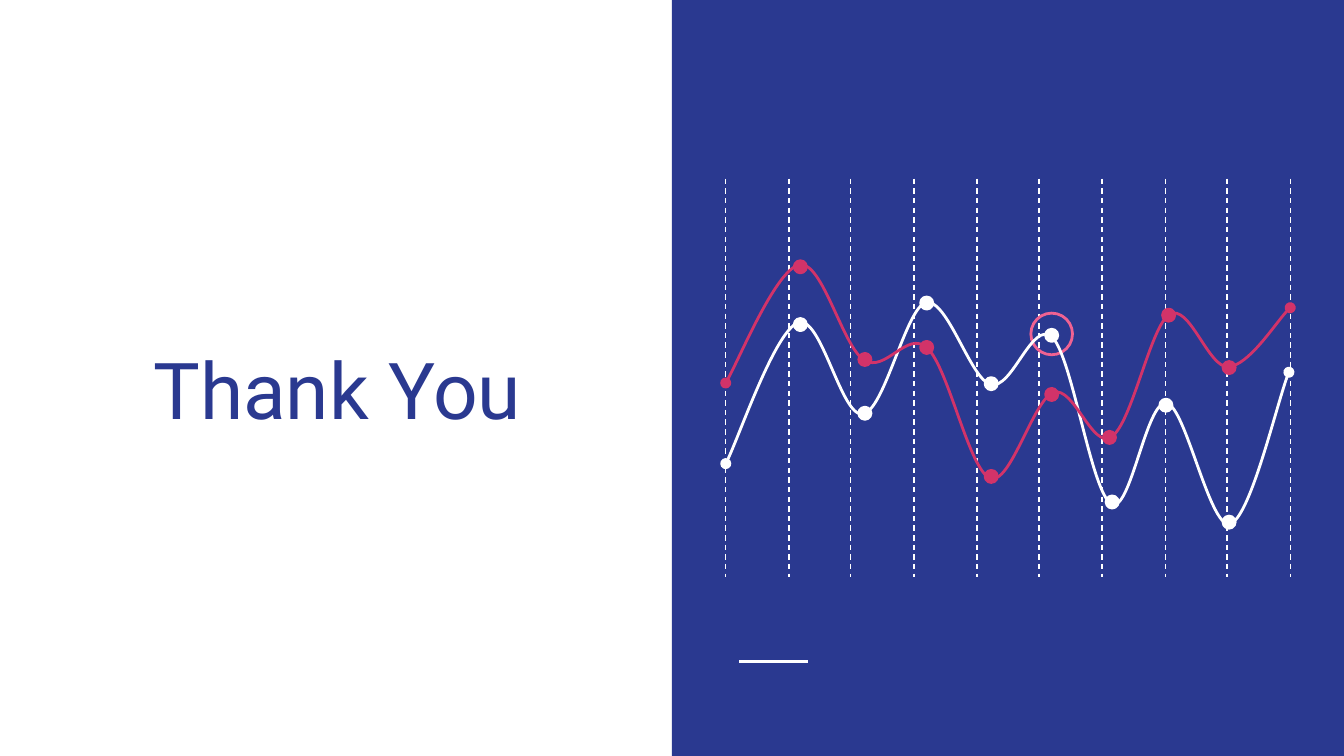
"""Build a closing slide with a title beside a two-series line illustration."""
from lxml import etree
from pptx import Presentation
from pptx import util as u
from pptx.dml.color import RGBColor
from pptx.enum import dml, shapes, text
from pptx.oxml import ns

PX = 9144
WHITE = RGBColor(0xFF, 0xFF, 0xFF)
NAVY = RGBColor(0x2A, 0x39, 0x90)
CRIMSON = RGBColor(0xD2, 0x33, 0x69)
PINK = RGBColor(0xF0, 0x62, 0x92)


def add_line(x1, y1, x2, y2, width):
    ends = [value * PX for value in (x1, y1, x2, y2)]
    connector = slide.shapes.add_connector(shapes.MSO_CONNECTOR.STRAIGHT, *ends)
    connector.line.color.rgb = WHITE
    connector.line.width = u.Pt(width)
    etree.SubElement(connector._element.spPr, ns.qn("a:effectLst"))
    return connector


def add_filled(parent, kind, left, top, width, height, color):
    box = [value * PX for value in (left, top, width, height)]
    shape = parent.shapes.add_shape(kind, *box)
    shape.shadow.inherit = False
    shape.fill.solid()
    shape.fill.fore_color.rgb = color
    shape.line.color.rgb = color
    shape.line.width = u.Pt(1.5)
    return shape


presentation = Presentation()
presentation.slide_width = 1000 * PX
presentation.slide_height = presentation.slide_width * 9 // 16
slide = presentation.slides.add_slide(presentation.slide_layouts[6])

panel = add_filled(slide, shapes.MSO_SHAPE.RECTANGLE, 500, 0, 500, 562, NAVY)
panel.height = presentation.slide_height
panel.line.fill.background()

add_line(550, 492, 601, 492, 1.5)
for column in range(10):
    x = round(540 + column * 420 / 9)
    grid_line = add_line(x, 133, x, 429, 0.75)
    grid_line.line.dash_style = dml.MSO_LINE.DASH

highlight = add_filled(slide, shapes.MSO_SHAPE.OVAL, 767, 233, 31, 31, PINK)
highlight.fill.background()

title = slide.shapes.add_textbox(30 * PX, 163 * PX, 442 * PX, 171 * PX)
frame = title.text_frame
frame.word_wrap = True
frame.vertical_anchor = text.MSO_ANCHOR.BOTTOM
frame.margin_left = frame.margin_right = 10 * PX
frame.margin_top = frame.margin_bottom = 10 * PX
paragraph = frame.paragraphs[0]
paragraph.alignment = text.PP_ALIGN.CENTER
run = paragraph.add_run()
run.text = "Thank You"
run.font.name = "Roboto"
run.font.size = u.Pt(42)
run.font.color.rgb = NAVY

white_curve = [
    (540, 345),
    (549, 328), (577, 246), (594, 240),
    (611, 234), (626, 311), (642, 308),
    (658, 306), (674, 229), (689, 225),
    (705, 222), (722, 282), (737, 286),
    (753, 291), (768, 237), (783, 251),
    (798, 266), (812, 367), (827, 375),
    (841, 383), (853, 297), (868, 300),
    (882, 302), (900, 393), (915, 390),
    (930, 386), (951, 296), (959, 277),
]
crimson_curve = [
    (540, 285),
    (549, 270), (578, 200), (595, 197),
    (612, 194), (627, 258), (643, 268),
    (659, 278), (675, 245), (690, 259),
    (706, 274), (721, 350), (737, 356),
    (752, 361), (769, 297), (784, 292),
    (799, 287), (813, 335), (827, 325),
    (842, 316), (856, 243), (870, 234),
    (885, 225), (899, 274), (914, 273),
    (929, 272), (952, 236), (960, 229),
]
white_dots = [(591, 237), (639, 303), (685, 221), (733, 281),
              (778, 245), (823, 369), (863, 297), (910, 384)]
crimson_dots = [(591, 194), (639, 263), (685, 254), (733, 350),
                (778, 289), (821, 321), (865, 230), (910, 269)]

for color, points, dots in (
    (WHITE, white_curve, white_dots),
    (CRIMSON, crimson_curve, crimson_dots),
):
    series = slide.shapes.add_group_shape()
    builder = series.shapes.build_freeform(*points[0], scale=PX)
    builder.add_line_segments(points[1:], close=False)
    curve = builder.convert_to_shape()
    curve.shadow.inherit = False
    curve.fill.background()
    curve.line.color.rgb = color
    curve.line.width = u.Pt(1.5)
    outline = curve.line._get_or_add_ln()
    for end in ("a:headEnd", "a:tailEnd"):
        etree.SubElement(outline, ns.qn(end), type="oval")

    segments = list(curve._element.iter(ns.qn("a:lnTo")))
    track = segments[0].getparent()
    for start in range(0, len(segments), 3):
        bezier = etree.SubElement(track, ns.qn("a:cubicBezTo"))
        for segment in segments[start:start + 3]:
            bezier.append(segment[0])
            track.remove(segment)

    for left, top in dots:
        add_filled(series, shapes.MSO_SHAPE.OVAL, left, top, 9, 9, color)

presentation.save("out.pptx")
